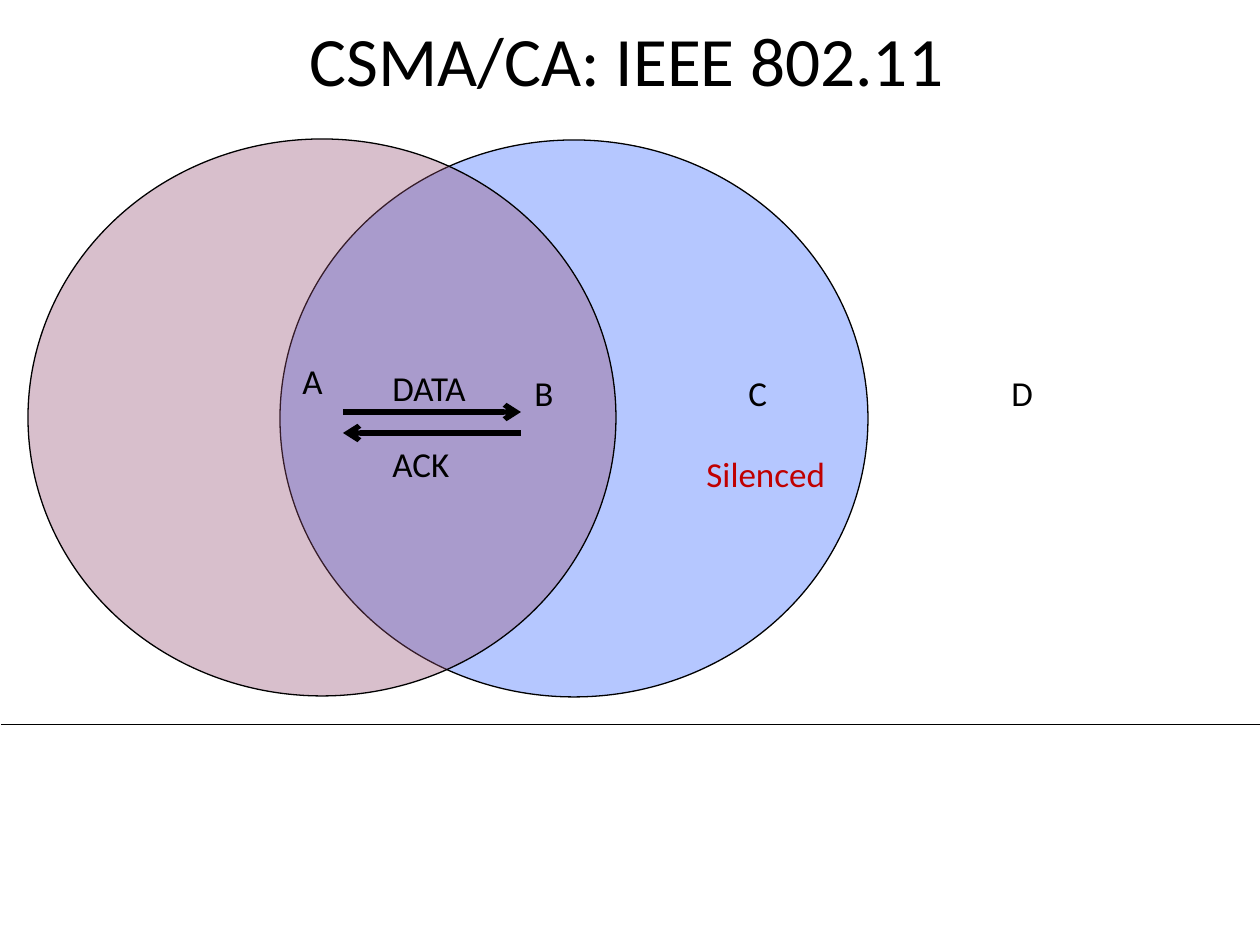
"""Build a slide on CSMA/CA showing radio ranges and a DATA/ACK exchange."""
import pptx
import pptx.dml.color
import pptx.enum.shapes
import pptx.enum.text
import pptx.oxml.ns
import pptx.util
from lxml import etree

PX_PER_INCH = 126
BLACK = pptx.dml.color.RGBColor(0x00, 0x00, 0x00)
BLUE = pptx.dml.color.RGBColor(0x33, 0x66, 0xFF)
MAUVE = pptx.dml.color.RGBColor(0x95, 0x4F, 0x72)
RED = pptx.dml.color.RGBColor(0xC0, 0x00, 0x00)


def px(length):
    return pptx.util.Emu(round(length * 914400 / PX_PER_INCH))


def add_child(parent, tag, **attributes):
    return etree.SubElement(parent, pptx.oxml.ns.qn(tag), **attributes)


def add_range(slide, left, top, color):
    radio_range = slide.shapes.add_shape(
        pptx.enum.shapes.MSO_SHAPE.OVAL, px(left), px(top), px(588), px(557))
    radio_range.shadow.inherit = False
    radio_range.fill.solid()
    radio_range.fill.fore_color.rgb = color
    tint = radio_range.fill._xPr.find(".//" + pptx.oxml.ns.qn("a:srgbClr"))
    add_child(tint, "a:alpha", val="36000")
    radio_range.line.color.rgb = BLACK
    radio_range.line.width = pptx.util.Pt(0.75)


def add_line(slide, start, end, y, width, arrow=False):
    line = slide.shapes.add_connector(
        pptx.enum.shapes.MSO_CONNECTOR.STRAIGHT, px(start), px(y), px(end), px(y))
    line.line.color.rgb = BLACK
    line.line.width = pptx.util.Pt(width)
    if arrow:
        add_child(line.line._get_or_add_ln(), "a:tailEnd", type="arrow")
    add_child(line._element.spPr, "a:effectLst")


def add_text(slide, text, left, top, width, height, size=20, color=BLACK, wrap=True):
    box = slide.shapes.add_textbox(px(left), px(top), px(width), px(height))
    frame = box.text_frame
    frame.word_wrap = wrap
    run = frame.paragraphs[0].add_run()
    run.text = text
    run.font.name = "Calibri"
    run.font.size = pptx.util.Pt(size)
    run.font.color.rgb = color
    return frame


def add_title(slide, text):
    frame = add_text(slide, text, 84, 18, 1086, 92, size=39.6)
    frame.vertical_anchor = pptx.enum.text.MSO_ANCHOR.MIDDLE
    frame.paragraphs[0].alignment = pptx.enum.text.PP_ALIGN.CENTER
    frame.paragraphs[0].line_spacing = 0.9


def main():
    deck = pptx.Presentation()
    deck.slide_width, deck.slide_height = px(1260), px(945)
    slide = deck.slides.add_slide(deck.slide_layouts[6])

    add_line(slide, 1, 1260, 724, 0.5)
    add_range(slide, 280, 140, BLUE)
    add_range(slide, 28, 139, MAUVE)

    add_text(slide, "A", 290, 353, 49, 55, wrap=False)
    for station, left in (("B", 522), ("C", 736), ("D", 999)):
        add_text(slide, station, left, 365, 54, 54)

    add_text(slide, "DATA", 380, 360, 121, 55, wrap=False)
    add_line(slide, 343, 521, 412, 3, arrow=True)
    add_line(slide, 521, 343, 433, 3, arrow=True)
    add_text(slide, "ACK", 380, 436, 97, 55, wrap=False)

    add_title(slide, "CSMA/CA: IEEE 802.11")
    add_text(slide, "Silenced", 694, 446, 160, 55, color=RED, wrap=False)
    deck.save("out.pptx")


if __name__ == "__main__":
    main()
